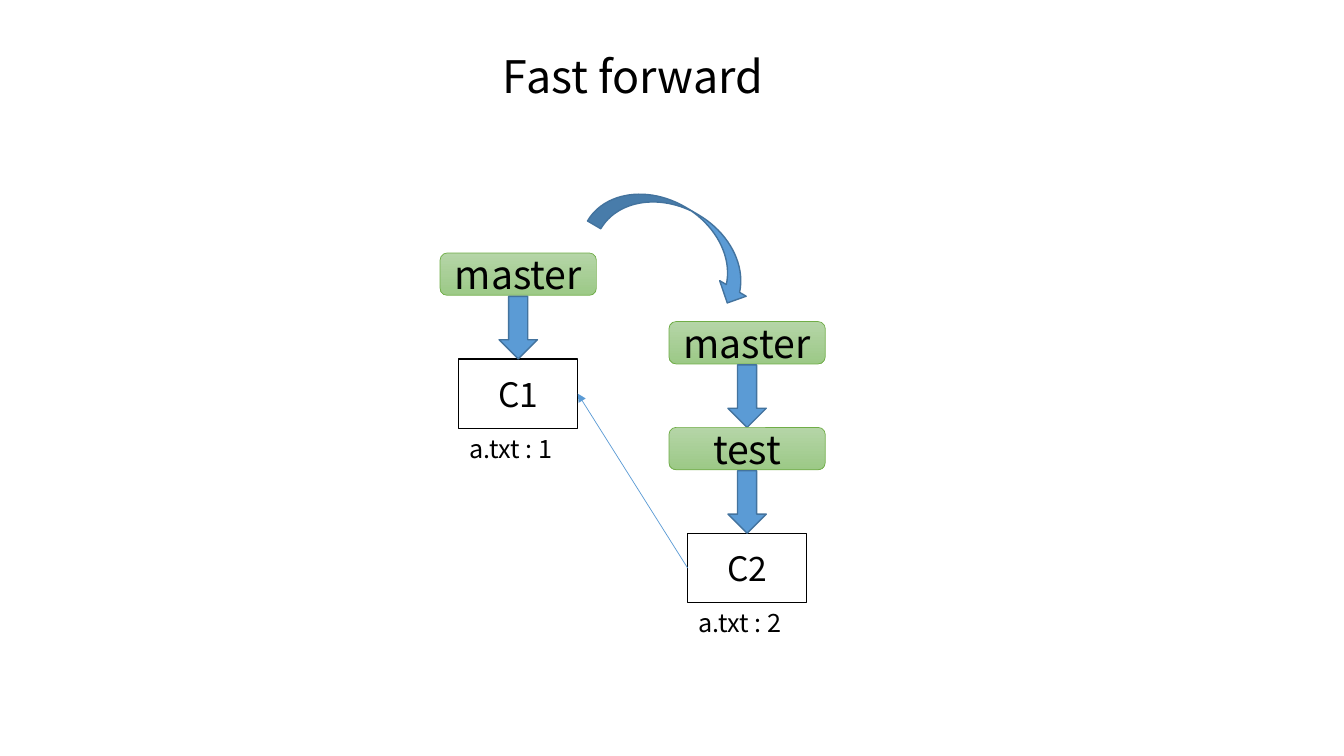
from lxml.etree import SubElement
from pptx import Presentation
from pptx.dml.color import RGBColor
from pptx.enum.shapes import MSO_CONNECTOR as CONN, MSO_SHAPE as SHAPE
from pptx.enum.text import MSO_ANCHOR as ANCHOR, PP_ALIGN as ALIGN
from pptx.oxml.ns import qn
from pptx.util import Inches, Pt

FONT = "Noto Sans CJK KR"
BLACK, WHITE, BLUE, NAVY, GREEN = "000000", "FFFFFF", "5B9BD5", "43739E", "70AD47"
GRADIENT = ("B5D5A7", "9CC987")
COLUMNS = (5.14, 7.41)
ROWS = (3.56, 5.29)
BOX_W, BOX_H = 1.18, 0.69
BRANCH_W, BRANCH_H = 1.55, 0.42
ARROW_W, ARROW_H = 0.38, 0.62
STEP = BRANCH_H + ARROW_H + 0.01


def color(value):
    """Turn a hex string into a colour."""
    return RGBColor.from_string(value)


def write(sp, text, size=18, align=ALIGN.LEFT, anchor=ANCHOR.TOP, wrap=True):
    """Put formatted text into a shape."""
    tf = sp.text_frame
    tf.word_wrap = wrap
    tf.vertical_anchor = anchor
    p = tf.paragraphs[0]
    p.alignment = align
    r = p.add_run()
    r.text = text
    r.font.name, r.font.size = FONT, Pt(size)
    r.font.color.rgb = color(BLACK)


def add_text(s, text, x, y, w, h, **fmt):
    """Add a text box."""
    sp = s.shapes.add_textbox(*map(Inches, (x, y, w, h)))
    write(sp, text, **fmt)


def add_shape(shapes, kind, x, y, w, h, fill=BLUE, line=NAVY, weight=1):
    """Add a preset shape with a solid fill and an outline."""
    sp = shapes.add_shape(kind, *map(Inches, (x, y, w, h)))
    sp.shadow.inherit = False
    sp.fill.solid()
    sp.fill.fore_color.rgb = color(fill)
    sp.line.color.rgb = color(line)
    sp.line.width = Pt(weight)
    return sp


def add_commit(s, name, content, cx, top):
    """Add a commit box with the file content below it."""
    sp = add_shape(s.shapes, SHAPE.RECTANGLE, cx - BOX_W / 2, top, BOX_W, BOX_H, WHITE, BLACK)
    write(sp, name, size=24, align=ALIGN.CENTER, anchor=ANCHOR.MIDDLE)
    add_text(s, content, cx - 0.58, top + BOX_H, 1.16, 0.4)


def add_branch(s, name, cx, target):
    """Add a branch label with an arrow that ends at the target height."""
    group = s.shapes.add_group_shape().shapes
    sp = add_shape(group, SHAPE.ROUNDED_RECTANGLE, cx - BRANCH_W / 2, target - STEP,
                   BRANCH_W, BRANCH_H, line=GREEN, weight=0.5)
    sp.fill.gradient()
    sp.fill.gradient_angle = 270
    for stop, value in zip(sp.fill.gradient_stops, GRADIENT):
        stop.color.rgb = color(value)
    write(sp, name, size=28, align=ALIGN.CENTER, anchor=ANCHOR.MIDDLE, wrap=False)
    add_shape(group, SHAPE.DOWN_ARROW, cx - ARROW_W / 2, target - ARROW_H, ARROW_W, ARROW_H)


def add_link(s, x1, y1, x2, y2):
    """Add a thin line with an arrowhead at its end."""
    sp = s.shapes.add_connector(CONN.STRAIGHT, *map(Inches, (x1, y1, x2, y2)))
    sp.line.color.rgb = color(BLUE)
    sp.line.width = Pt(0.5)
    SubElement(sp.line._get_or_add_ln(), qn("a:tailEnd"), type="triangle")
    SubElement(sp._element.spPr, qn("a:effectLst"))


def main():
    """Build the slide and save it."""
    prs = Presentation()
    prs.slide_width, prs.slide_height = Inches(13.33), Inches(7.5)
    s = prs.slides.add_slide(prs.slide_layouts[6])
    (old_x, new_x), (old_y, new_y) = COLUMNS, ROWS

    add_text(s, "Fast forward", 4.89, 0.43, 3.29, 0.64, size=32)
    for i, (cx, top) in enumerate(zip(COLUMNS, ROWS), 1):
        add_commit(s, f"C{i}", f"a.txt : {i}", cx, top)
    add_link(s, new_x - BOX_W / 2, new_y + BOX_H / 2, old_x + BOX_W / 2, old_y + BOX_H / 2)
    add_branch(s, "master", new_x, new_y - STEP)
    add_branch(s, "test", new_x, new_y)
    add_branch(s, "master", old_x, old_y)
    move = add_shape(s.shapes, SHAPE.CURVED_DOWN_ARROW, 5.86, 2.07, 1.76, 0.61)
    move.rotation = 30.4
    prs.save("out.pptx")


main()
